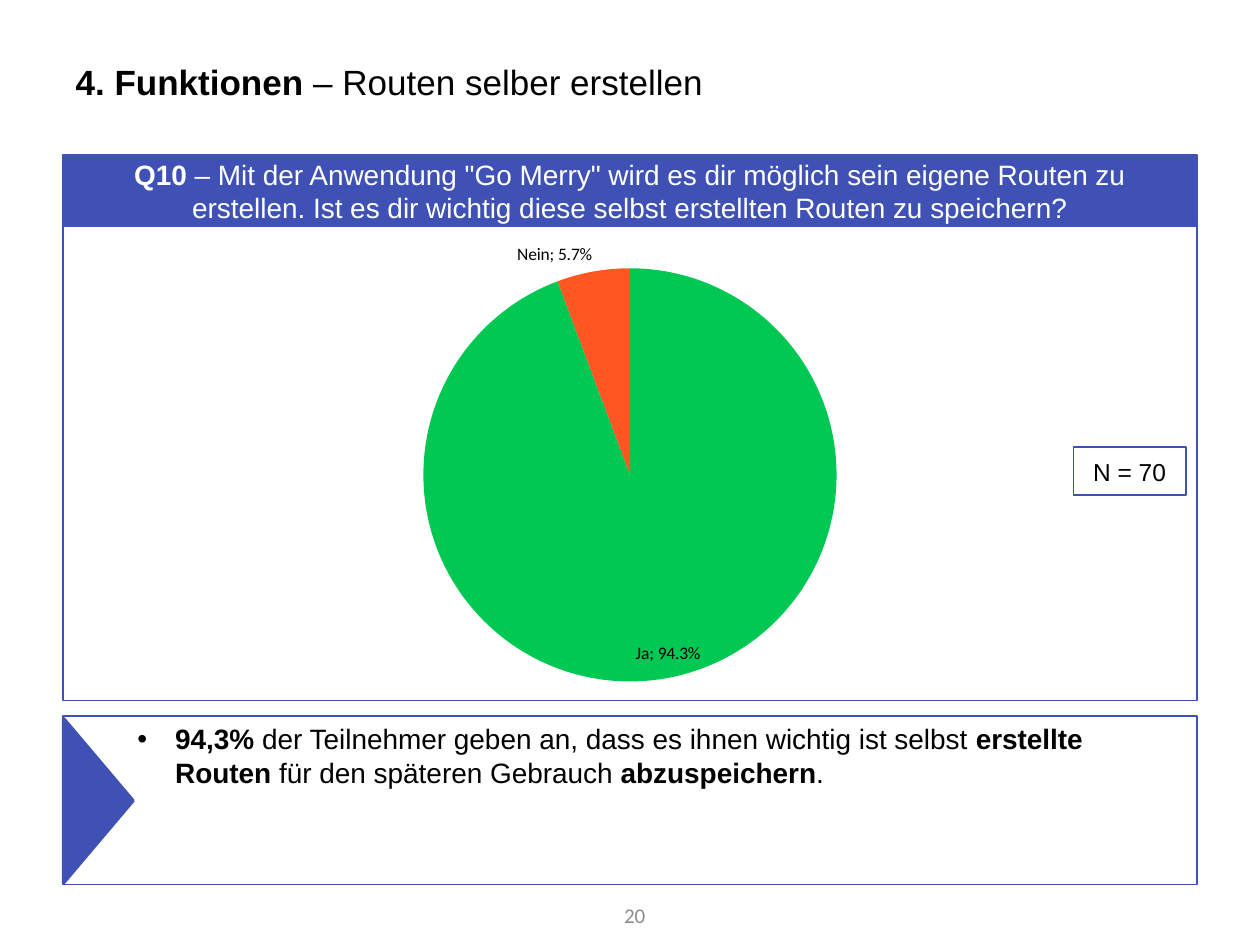
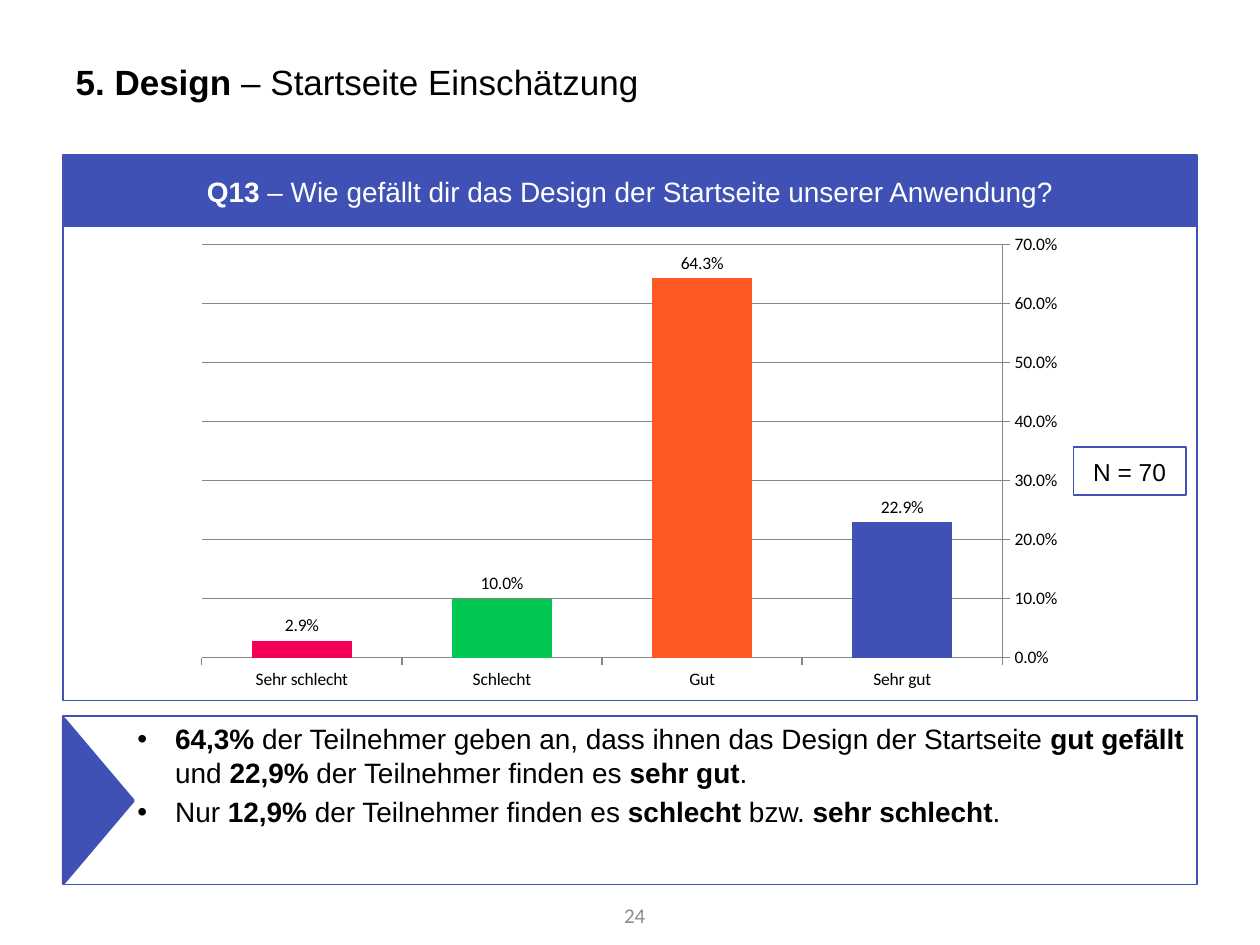
from lxml import etree
from pptx import Presentation
from pptx.chart.data import CategoryChartData
from pptx.dml.color import RGBColor
from pptx.enum.chart import XL_CHART_TYPE as ChartType
from pptx.enum.chart import XL_LABEL_POSITION as LabelPosition
from pptx.enum.chart import XL_TICK_MARK as TickMark
from pptx.enum.shapes import MSO_SHAPE as Shape
from pptx.enum.text import MSO_ANCHOR as Anchor
from pptx.enum.text import MSO_AUTO_SIZE as AutoSize
from pptx.enum.text import PP_ALIGN as Align
from pptx.oxml.ns import qn
from pptx.util import Inches, Pt

INDIGO = RGBColor(0x3F, 0x51, 0xB5)
GREEN = RGBColor(0x00, 0xC8, 0x53)
ORANGE = RGBColor(0xFF, 0x57, 0x22)
PINK = RGBColor(0xF5, 0x00, 0x57)
BLACK = RGBColor(0, 0, 0)
WHITE = RGBColor(0xFF, 0xFF, 0xFF)
GREY = RGBColor(0x8C, 0x8C, 0x8C)
AXIS_GREY = RGBColor(0x86, 0x86, 0x86)

# Content: ** marks bold text
PAGES = [
    {
        "title": "**4. Funktionen** – Routen selber erstellen",
        "question": '**Q10** – Mit der Anwendung "Go Merry" wird es dir möglich sein '
                    "eigene Routen zu erstellen. Ist es dir wichtig diese selbst "
                    "erstellten Routen zu speichern?",
        "findings": [
            "**94,3%** der Teilnehmer geben an, dass es ihnen wichtig ist selbst "
            "**erstellte Routen** für den späteren Gebrauch **abzuspeichern**.",
        ],
        "sample": "N = 70",
        "number": "20",
        "chart": {
            "type": ChartType.PIE,
            "place": (1.54, 1.79, 6.99, 3.77),
            "plot": (0.26, 0.09, 0.47, 0.87),
            "answers": [("Ja", 0.943, GREEN), ("Nein", 0.057, ORANGE)],
        },
    },
    {
        "title": "**5. Design** – Startseite Einschätzung",
        "question": "**Q13** – Wie gefällt dir das Design der Startseite "
                    "unserer Anwendung?",
        "findings": [
            "**64,3%** der Teilnehmer geben an, dass ihnen das Design der Startseite "
            "**gut gefällt** und **22,9%** der Teilnehmer finden es **sehr gut**.",
            "Nur **12,9%** der Teilnehmer finden es **schlecht** bzw. "
            "**sehr schlecht**.",
        ],
        "sample": "N = 70",
        "number": "24",
        "chart": {
            "type": ChartType.COLUMN_CLUSTERED,
            "place": (1.46, 1.79, 7.06, 3.77),
            "plot": (0.02, 0.04, 0.9, 0.87),
            "answers": [("Sehr gut", 0.229, INDIGO), ("Gut", 0.643, ORANGE),
                        ("Schlecht", 0.1, GREEN), ("Sehr schlecht", 0.029, PINK)],
        },
    },
]


def put(shape, left, top, width, height):
    shape.left, shape.top = Inches(left), Inches(top)
    shape.width, shape.height = Inches(width), Inches(height)


def write(para, text, size, color=BLACK, align=Align.LEFT, font="Arial"):
    """Fill a paragraph, making every second part between ** bold."""
    para.alignment = align
    para.font.name, para.font.size = font, Pt(size)
    para.font.color.rgb = color
    for index, part in enumerate(text.split("**")):
        if part:
            span = para.add_run()
            span.text = part
            span.font.bold = index % 2 == 1


def add_box(page, place, kind=Shape.RECTANGLE, fill=None, line=1):
    box = page.shapes.add_shape(kind, *map(Inches, place))
    box.shadow.inherit = False
    if fill is None:
        box.fill.background()
    else:
        box.fill.solid()
        box.fill.fore_color.rgb = fill
    box.line.color.rgb, box.line.width = INDIGO, Pt(line)
    box.text_frame.word_wrap = True
    box.text_frame.vertical_anchor = Anchor.MIDDLE
    return box


def add_findings(body, findings):
    put(body, 0.5, 5.68, 9, 1.34)
    body.line.color.rgb, body.line.width = INDIGO, Pt(1)
    frame = body.text_frame
    frame.auto_size = AutoSize.NONE
    for index, finding in enumerate(findings):
        para = frame.add_paragraph() if index else frame.paragraphs[0]
        props = para._p.get_or_add_pPr()
        props.set("marL", str(Inches(0.79)))
        props.set("indent", str(Inches(-0.3)))
        etree.SubElement(props, qn("a:buChar"), char="•")
        para.space_before = Pt(3.2 if index else 0)
        write(para, finding, 16)


def set_plot_area(chart, plot):
    """Fix the inner plot area as fractions of the chart."""
    area = chart.element.find(".//" + qn("c:plotArea"))
    for old in area.findall(qn("c:layout")):
        area.remove(old)
    layout = etree.Element(qn("c:layout"))
    area.insert(0, layout)
    manual = etree.SubElement(layout, qn("c:manualLayout"))
    settings = [("layoutTarget", "inner"), ("xMode", "edge"), ("yMode", "edge")]
    settings += zip("xywh", map(str, plot))
    for name, value in settings:
        etree.SubElement(manual, qn("c:" + name), val=value)


def style_axes(chart):
    categories, values = chart.category_axis, chart.value_axis
    categories.reverse_order = True
    values.minimum_scale, values.maximum_scale, values.major_unit = 0, 0.7, 0.1
    values.tick_labels.number_format = "0.0%"
    values.tick_labels.number_format_is_linked = False
    values.has_major_gridlines = True
    values.major_gridlines.format.line.color.rgb = AXIS_GREY
    for axis in (categories, values):
        axis.major_tick_mark = TickMark.OUTSIDE
        axis.minor_tick_mark = TickMark.NONE
        axis.format.line.color.rgb = AXIS_GREY


def add_answers(page, info):
    names, shares, colors = zip(*info["answers"])
    data = CategoryChartData(number_format="0.0%")
    data.categories = names
    data.add_series("Series 1", shares)
    chart = page.shapes.add_chart(
        info["type"], *map(Inches, info["place"]), data).chart
    chart.has_title = chart.has_legend = False
    chart.font.name, chart.font.size = "Calibri", Pt(10)
    chart.font.color.rgb = BLACK
    set_plot_area(chart, info["plot"])

    plot = chart.plots[0]
    is_pie = info["type"] == ChartType.PIE
    plot.vary_by_categories = is_pie
    for index, color in enumerate(colors):
        fill = plot.series[0].points[index].format.fill
        fill.solid()
        fill.fore_color.rgb = color

    plot.has_data_labels = True
    labels = plot.data_labels
    labels.number_format, labels.number_format_is_linked = "0.0%", False
    labels.show_value, labels.show_percentage = True, False
    if is_pie:
        labels.show_category_name = True
        labels.position = LabelPosition.BEST_FIT
        separator = etree.Element(qn("c:separator"))
        separator.text = "; "
        chart.element.find(".//" + qn("c:showBubbleSize")).addnext(separator)
    else:
        labels.position = LabelPosition.OUTSIDE_END
        plot.gap_width = 100
        style_axes(chart)


def add_page(deck, content):
    page = deck.slides.add_slide(deck.slide_layouts[1])

    # Title and findings
    title, body = page.placeholders[0], page.placeholders[1]
    put(title, 0.5, 0.3, 9, 0.69)
    title.text_frame.auto_size = AutoSize.NONE
    title.text_frame.vertical_anchor = Anchor.MIDDLE
    write(title.text_frame.paragraphs[0], content["title"], 20)
    add_findings(body, content["findings"])
    arrow = add_box(page, (0.13, 6.08, 1.3, 0.55),
                    Shape.ISOSCELES_TRIANGLE, INDIGO, 2)
    arrow.rotation = 90

    # Question band, frame and sample size
    add_box(page, (0.5, 1.23, 9, 4.33))
    band = add_box(page, (0.51, 1.24, 8.98, 0.55), fill=INDIGO, line=2)
    write(band.text_frame.paragraphs[0], content["question"], 16, WHITE, Align.CENTER)
    sample = add_box(page, (8.52, 3.55, 0.89, 0.38))
    write(sample.text_frame.paragraphs[0], content["sample"], 14, align=Align.CENTER)

    # Page number
    number = page.shapes.add_textbox(*map(Inches, (4.59, 7.06, 0.63, 0.4)))
    number.text_frame.word_wrap = True
    number.text_frame.vertical_anchor = Anchor.MIDDLE
    write(number.text_frame.paragraphs[0], content["number"], 12, GREY,
          Align.RIGHT, "Calibri")

    add_answers(page, content["chart"])


def main():
    deck = Presentation()
    deck.slide_width, deck.slide_height = Inches(10), Inches(7.5)
    for content in PAGES:
        add_page(deck, content)
    deck.save("out.pptx")


if __name__ == "__main__":
    main()
